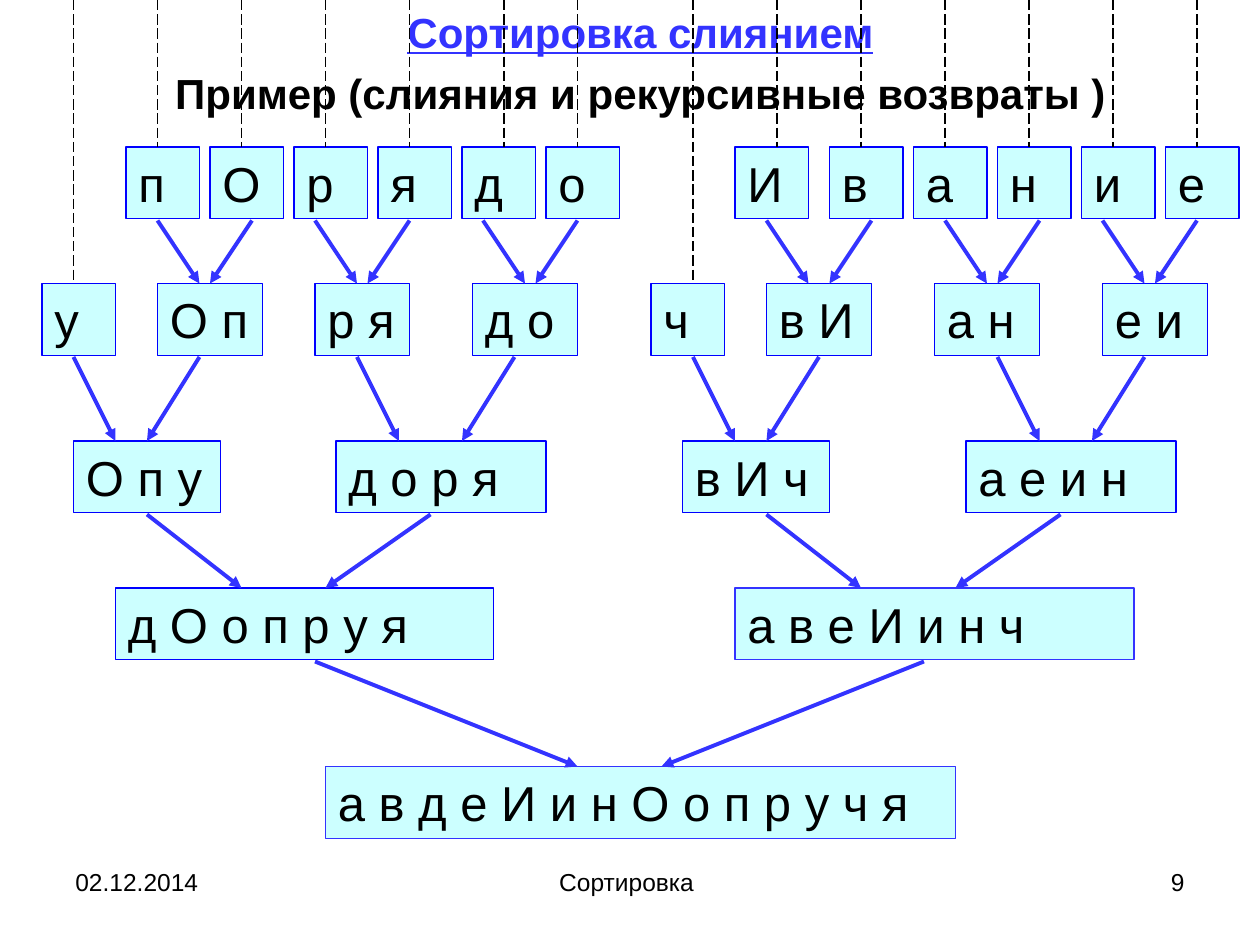
from pptx import Presentation
from pptx.dml.color import RGBColor
from pptx.enum import dml, shapes, text
from pptx.oxml import ns
from pptx.util import Inches, Pt
from lxml import etree

W, H = 10, 7.5
COLS, ROWS = 120, 90  # slide grid
COLORS = {"ink": "000000", "accent": "3333FF", "edge": "0000FF", "cell": "CCFFFF"}
BOX_ROWS = 6.85

# Each level: row, then cells as (column, columns wide, letters)
LEVELS = [
    (14, [(12, 7, "п"), (20, 7, "О"), (28, 7, "р"), (36, 7, "я"),
          (44, 7, "д"), (52, 7, "о"), (70, 7, "И"), (79, 7, "в"),
          (87, 7, "а"), (95, 7, "н"), (103, 7, "и"), (111, 7, "е")]),
    (27, [(4, 7, "у"), (15, 10, "О п"), (30, 9, "р я"), (45, 10, "д о"),
          (62, 7, "ч"), (73, 10, "в И"), (89, 10, "а н"), (105, 10, "е и")]),
    (42, [(7, 14, "О п у"), (32, 20, "д о р я"),
          (65, 14, "в И ч"), (92, 20, "а е и н")]),
    (56, [(11, 36, "д О о п р у я"), (70, 38, "а в е И и н ч")]),
    (73, [(31, 60, "а в д е И и н О о п р у ч я")]),
]
# Each merge: start row, end row, shift of left and right arrow, start columns
MERGES = [
    (21, 27, 4, -4, [(15, 24), (30, 39), (46, 55), (73, 83), (90, 99), (105, 114)]),
    (34, 42, 4, -5, [(7, 19), (34, 49), (66, 78), (95, 109)]),
    (49, 56, 9, -10, [(14, 41), (73, 101)]),
    (63, 73, 25, -25, [(30, 88)]),
]
# Recursion lines by the row where they end
RETURNS = {14: [15, 23, 31, 39, 48, 55, 74, 82, 90, 98, 106, 114], 27: [7, 66]}


def rgb(name):
    return RGBColor.from_string(COLORS[name])


def grid(box):
    """Return functions that turn a column and a row of the box into lengths."""
    x, y, w, h = box
    return (lambda c: Inches(x + w * c / COLS)), (lambda r: Inches(y + h * r / ROWS))


def add_run(p, words, size, color="ink", bold=False, underline=False):
    r = p.add_run()
    r.text = words
    f = r.font
    f.name, f.size, f.bold, f.underline = "Arial", Pt(size), bold, underline
    f.color.rgb = rgb(color)


def text_box(s, box):
    tf = s.shapes.add_textbox(*(Inches(v) for v in box)).text_frame
    tf.word_wrap = True
    return tf


def line(s, ends, color, width):
    sp = s.shapes.add_connector(shapes.MSO_CONNECTOR.STRAIGHT, *ends)
    sp.line.color.rgb = rgb(color)
    sp.line.width = Pt(width)
    etree.SubElement(sp._element.spPr, ns.qn("a:effectLst"))
    return sp


def title(s, box):
    tf = text_box(s, box)
    lines = [("Сортировка слиянием", "accent", True),
             ("Пример (слияния и рекурсивные возвраты )", "ink", False)]
    for i, (words, color, underline) in enumerate(lines):
        p = tf.add_paragraph() if i else tf.paragraphs[0]
        p.alignment = text.PP_ALIGN.CENTER
        p.space_before = Pt(6)
        add_run(p, words, 24, color, True, underline)


def footer(s, box):
    x, y, w, h = box
    align = text.PP_ALIGN
    parts = [(0, 0.26, "02.12.2014", align.LEFT),
             (0.324, 0.352, "Сортировка ", align.CENTER),
             (0.74, 0.26, "9", align.RIGHT)]
    for left, share, words, side in parts:
        p = text_box(s, (x + w * left, y, w * share, h)).paragraphs[0]
        p.alignment = side
        add_run(p, words, 14)


def cells(s, box):
    col, row = grid(box)
    for top, level in LEVELS:
        for left, width, letters in level:
            sp = s.shapes.add_shape(shapes.MSO_SHAPE.RECTANGLE, col(left), row(top),
                                    col(width) - col(0), row(BOX_ROWS) - row(0))
            sp.shadow.inherit = False
            sp.fill.solid()
            sp.fill.fore_color.rgb = rgb("cell")
            last = top == 73 or (top, left) == (56, 70)
            sp.line.color.rgb = rgb("accent" if last else "edge")
            sp.line.width = Pt(0.75)
            tf = sp.text_frame
            tf.word_wrap = True
            tf.auto_size = text.MSO_AUTO_SIZE.SHAPE_TO_FIT_TEXT
            tf.vertical_anchor = text.MSO_ANCHOR.TOP
            p = tf.paragraphs[0]
            p.alignment = text.PP_ALIGN.LEFT
            p.space_before = Pt(17.5)
            add_run(p, letters, 28)


def returns(s, box):
    col, row = grid(box)
    for end, columns in RETURNS.items():
        for c in columns:
            sp = line(s, (col(c), row(0), col(c), row(end)), "ink", 0.75)
            sp.line.dash_style = dml.MSO_LINE.LONG_DASH


def merges(s, box):
    col, row = grid(box)
    for start, end, right, left, pairs in MERGES:
        for pair in pairs:
            for c, shift in zip(pair, (right, left)):
                sp = line(s, (col(c), row(start), col(c + shift), row(end)),
                          "accent", 2.25)
                etree.SubElement(sp.line._get_or_add_ln(), ns.qn("a:tailEnd"),
                                 type="triangle")


def main():
    prs = Presentation()
    prs.slide_width, prs.slide_height = Inches(W), Inches(H)
    s = prs.slides.add_slide(prs.slide_layouts[6])
    page = (0, 0, W, H)
    footer(s, (0.05 * W, 0.911 * H, 0.9 * W, 0.07 * H))
    title(s, (W / 60, 0, W * 59 / 60, 0.144 * H))
    # Merge tree: cells, then lines of recursion and merge arrows
    for draw in (cells, returns, merges):
        draw(s, page)
    prs.save("out.pptx")


if __name__ == "__main__":
    main()
